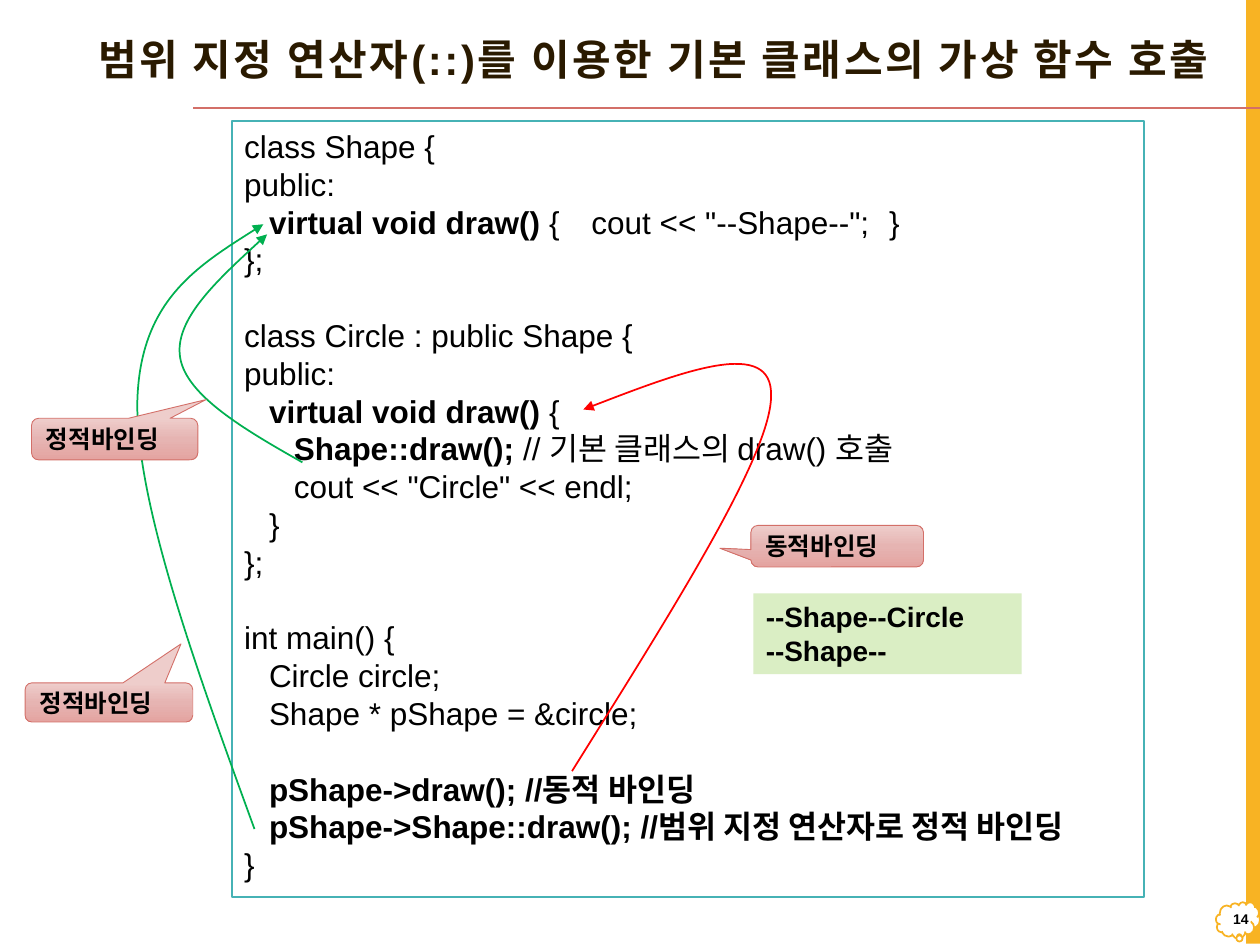
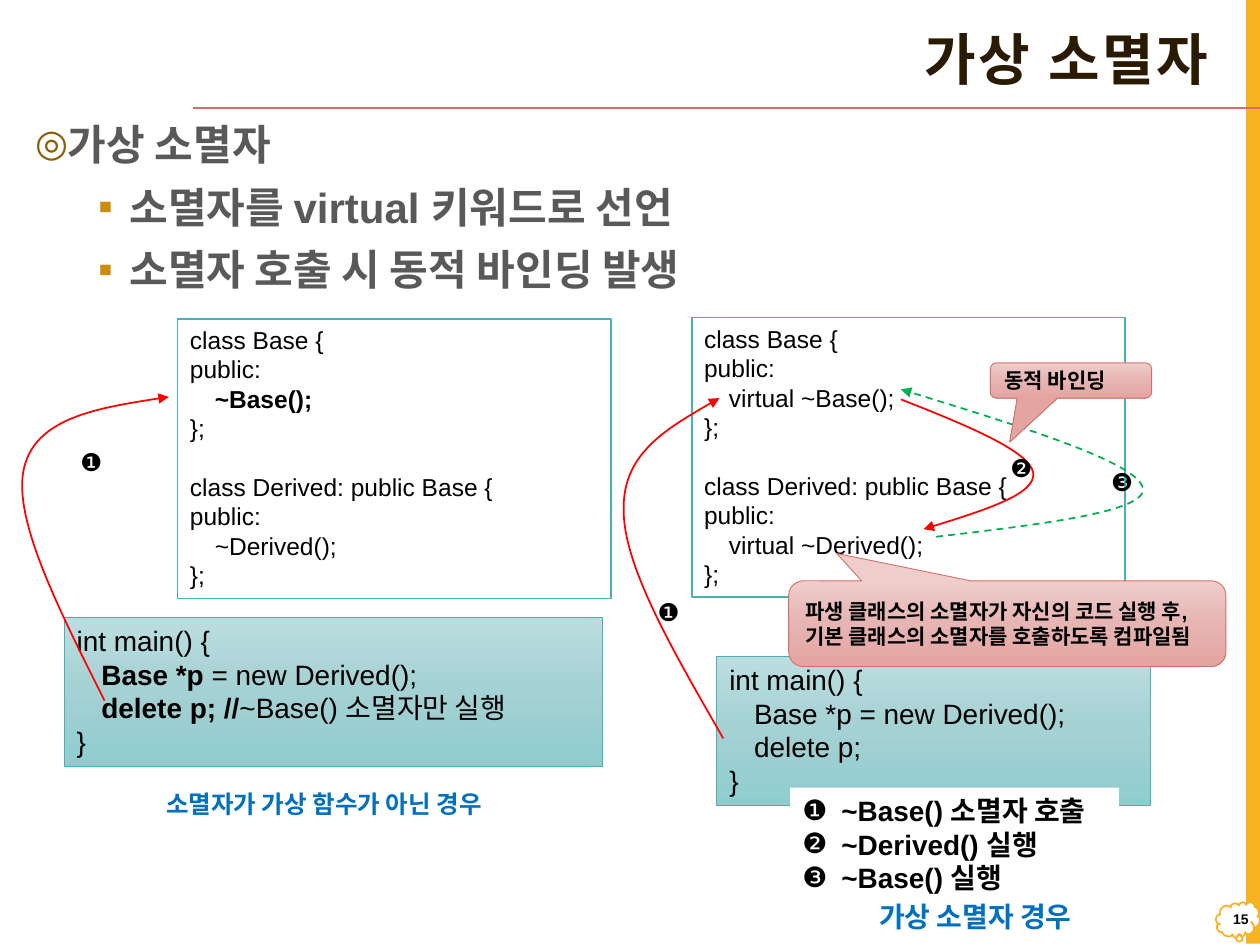
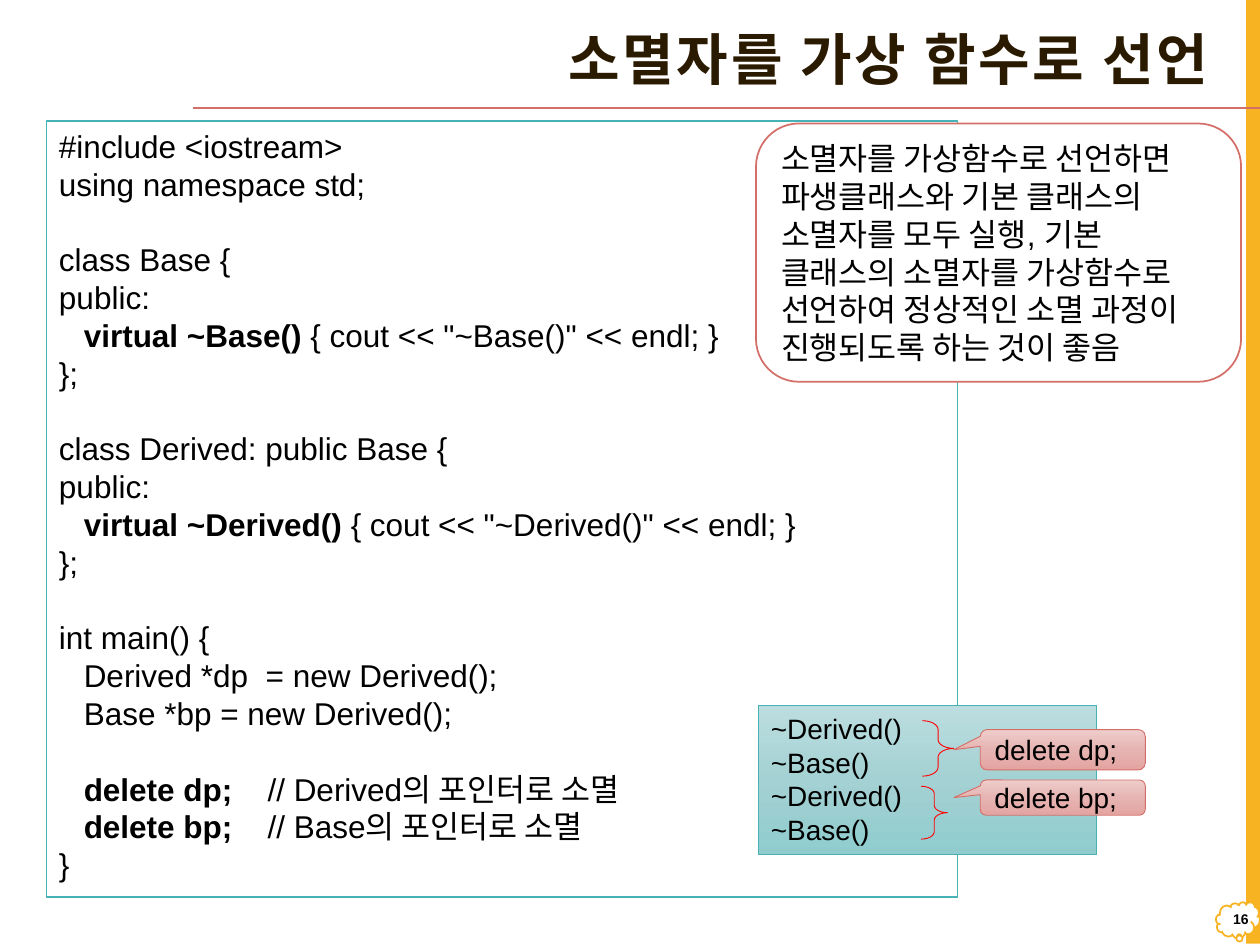
from copy import deepcopy
from dataclasses import dataclass
from typing import Any, NamedTuple

from pptx import Presentation
from pptx.dml.color import RGBColor
from pptx.enum.dml import MSO_LINE
from pptx.enum.shapes import MSO_CONNECTOR, MSO_SHAPE
from pptx.enum.text import MSO_ANCHOR, MSO_AUTO_SIZE, PP_ALIGN
from pptx.oxml.ns import qn
from pptx.oxml.xmlchemy import OxmlElement
from pptx.util import Emu, Mm, Pt

RECT, ROUND = MSO_SHAPE.RECTANGLE, MSO_SHAPE.ROUNDED_RECTANGLE
CALLOUT, CLOUD = MSO_SHAPE.ROUNDED_RECTANGULAR_CALLOUT, MSO_SHAPE.CLOUD_CALLOUT
BRACE = MSO_SHAPE.RIGHT_BRACE
TOP, MIDDLE = MSO_ANCHOR.TOP, MSO_ANCHOR.MIDDLE
LEFT, RIGHT = PP_ALIGN.LEFT, PP_ALIGN.RIGHT
GROW, FIXED = MSO_AUTO_SIZE.SHAPE_TO_FIT_TEXT, MSO_AUTO_SIZE.NONE
STRAIGHT, DASH = MSO_CONNECTOR.STRAIGHT, MSO_LINE.DASH

# Shared look: 100 px to the inch
PX = 9144
FONT = "Arial"
LINE_HEIGHT = 1.2
TAB, TAB_COUNT = Mm(5), 26
BLACK, WHITE, BROWN, GRAY = "000000", "FFFFFF", "2A1A00", "595959"
AMBER, TEAL, ROSE, BLUE = "F8B323", "46B2B5", "D36F68", "0070C0"
RED, GREEN, LIME = "FF0000", "00B050", "DAEEC4"
TEAL_FADE = ("BCDDDF", "A4D1D3", "90CCCE")
ROSE_FADE = ("EECDCB", "E6B4B2", "E4A4A1")


@dataclass(frozen=True)
class Style:
    shape: Any = None  # None makes a text box
    fill: tuple[str, ...] = ()
    line: str = ""
    line_pt: float = 1
    color: str = BLACK
    anchor: Any = TOP
    align: Any = LEFT
    fit: Any = FIXED
    wrap: bool = True
    tabs: bool = False
    spacing: float = 0  # letter spacing in points
    leading: float = 1


class Bullet(NamedTuple):
    mark: str
    margin: int
    hang: int
    color: str = ""
    percent: int = 0
    level: int = 0


class Panel(NamedTuple):
    """Shape with text; ** switches bold and an empty line leaves a gap."""
    area: tuple[int, int, int, int]
    style: Style
    text: str = ""
    size: int = 14
    bold: bool = False
    adjust: tuple[float, ...] = ()
    bullets: tuple[Bullet, ...] = ()
    before: float = 0


class Curve(NamedTuple):
    """Arrow through Bezier points: the start, then three per segment."""
    points: tuple[tuple[int, int], ...]
    color: str
    dashed: bool = False


class Page(NamedTuple):
    number: int
    title: Panel
    items: list[Panel | Curve]


TITLE = Style(color=BROWN, anchor=MIDDLE, align=RIGHT, spacing=1.5, leading=0.9)
NUMBER = Style(anchor=MIDDLE, align=RIGHT)
BAND = Style(RECT, (AMBER,))
BADGE = Style(CLOUD, (WHITE,), AMBER)
BODY = Style(color=GRAY)
CODE = Style(RECT, (WHITE,), TEAL, fit=GROW, tabs=True)
MAIN = Style(RECT, TEAL_FADE, TEAL, 0.5, fit=GROW, tabs=True)
OUTPUT = Style(RECT, (LIME,), fit=GROW)
NOTE = Style(CALLOUT, ROSE_FADE, ROSE, 0.5, anchor=MIDDLE)
ADVICE = Style(ROUND, (WHITE,), ROSE, anchor=MIDDLE)
BRACKET = Style(BRACE, line=RED, line_pt=0.5)
MARK = Style(fit=GROW, wrap=False)
CAPTION = Style(color=BLUE, fit=GROW, wrap=False)
WHITE_CAPTION = Style(RECT, (WHITE,), color=BLUE, fit=GROW, wrap=False)
STEPS = Style(RECT, (WHITE,), fit=GROW, wrap=False)


def rgb(value: str) -> RGBColor:
    return RGBColor.from_string(value)


def px(*values: int) -> list[Emu]:
    return [Emu(value * PX) for value in values]


def set_values(target: Any, values: dict[str, Any]) -> None:
    for name, value in values.items():
        setattr(target, name, value)


def add_element(parent: Any, tag: str, **attributes: Any) -> Any:
    element = OxmlElement(tag)
    for name, value in attributes.items():
        element.set(name, str(value))
    parent.append(element)
    return element


def paint(box: Any, style: Style) -> None:
    """Plain, faded or no fill, and the outline."""
    if len(style.fill) > 1:
        box.fill.gradient()
        box.fill.gradient_angle = 270
        stops = box._element.spPr.find(".//" + qn("a:gsLst"))
        stops.insert(1, deepcopy(stops[0]))
        stops[1].set("pos", "50000")
        for stop, color in zip(box.fill.gradient_stops, style.fill):
            stop.color.rgb = rgb(color)
    elif style.fill:
        box.fill.solid()
        box.fill.fore_color.rgb = rgb(style.fill[0])
    else:
        box.fill.background()
    if style.line:
        box.line.color.rgb = rgb(style.line)
        box.line.width = Pt(style.line_pt)
    else:
        box.line.fill.background()


def add_bullet(para: Any, bullet: Bullet) -> None:
    para.level = bullet.level
    properties = para._p.get_or_add_pPr()
    properties.set("marL", str(bullet.margin * PX))
    properties.set("indent", str(-bullet.hang * PX))
    if bullet.color:
        add_element(add_element(properties, "a:buClr"), "a:srgbClr", val=bullet.color)
    if bullet.percent:
        add_element(properties, "a:buSzPct", val=bullet.percent * 1000)
    add_element(properties, "a:buFont", typeface=FONT)
    add_element(properties, "a:buChar", char=bullet.mark)


def add_tabs(para: Any) -> None:
    stops = add_element(para._p.get_or_add_pPr(), "a:tabLst")
    for step in range(1, TAB_COUNT + 1):
        add_element(stops, "a:tab", pos=step * TAB, algn="l")


def write_text(box: Any, panel: Panel) -> None:
    style, frame = panel.style, box.text_frame
    set_values(frame, {"word_wrap": style.wrap, "auto_size": style.fit,
                       "vertical_anchor": style.anchor})
    gap, count = 0.0, 0
    for line in panel.text.splitlines():
        if not line:
            gap = panel.size * LINE_HEIGHT
            continue
        para = frame.add_paragraph() if count else frame.paragraphs[0]
        if panel.bullets:
            add_bullet(para, panel.bullets[count])
        if style.tabs:
            add_tabs(para)
        set_values(para, {"alignment": style.align, "line_spacing": style.leading,
                          "space_before": Pt(gap + panel.before if count else 0)})
        for index, part in enumerate(line.split("**")):
            if not part:
                continue
            span = para.add_run()
            span.text = part
            set_values(span.font, {"name": FONT, "size": Pt(panel.size),
                                   "bold": panel.bold or index % 2 == 1})
            span.font.color.rgb = rgb(style.color)
            if style.spacing:
                span._r.get_or_add_rPr().set("spc", str(int(style.spacing * 100)))
        gap, count = 0.0, count + 1


def draw_panel(page: Any, panel: Panel) -> None:
    area, style = px(*panel.area), panel.style
    if style.shape is None:
        box = page.shapes.add_textbox(*area)
    else:
        box = page.shapes.add_shape(style.shape, *area)
        box.shadow.inherit = False
        paint(box, style)
        for index, value in enumerate(panel.adjust):
            box.adjustments[index] = value
    if panel.text:
        write_text(box, panel)


def draw_curve(page: Any, curve: Curve) -> None:
    start, *rest = curve.points
    builder = page.shapes.build_freeform(*start, scale=PX)
    builder.add_line_segments(rest, close=False)
    arrow = builder.convert_to_shape()
    arrow.shadow.inherit = False
    paint(arrow, Style(line=curve.color))
    if curve.dashed:
        arrow.line.dash_style = DASH
    add_element(arrow.line._get_or_add_ln(), "a:tailEnd", type="triangle")
    # Each three straight segments become one Bezier segment
    outline = arrow._element.spPr.find(".//" + qn("a:path"))
    segments = outline.findall(qn("a:lnTo"))
    for first in range(0, len(segments), 3):
        bezier = add_element(outline, "a:cubicBezTo")
        for segment in segments[first:first + 3]:
            bezier.append(segment[0])
            outline.remove(segment)


def draw_frame(page: Any, number: int, title: Panel) -> None:
    """Band, page badge, rule, title and page number of every slide."""
    draw_panel(page, Panel((989, -1, 11, 750), BAND))
    draw_panel(page, Panel((965, 716, 35, 29), BADGE, adjust=(0.03, 0.43)))
    rule = page.shapes.add_connector(STRAIGHT, *px(1000, 86, 153, 86))
    rule.line.color.rgb = rgb(ROSE)
    rule.line.width = Pt(1)
    add_element(rule._element.spPr, "a:effectLst")
    draw_panel(page, title)
    draw_panel(page, Panel((966, 712, 35, 35), NUMBER, str(number), 8, True))


def title(text: str, left: int = 132, size: int = 32) -> Panel:
    return Panel((left, 13, 969 - left, 73), TITLE, text, size, True)


# Code listings
SCOPE_CODE = """class Shape {
public:
\t**virtual void draw() **{  \tcout << "--Shape--";  \t}
};

class Circle : public Shape {
public:
\t**virtual void draw() **{
\t\t**Shape::draw(); **// 기본 클래스의 draw() 호출
\t\tcout << "Circle" << endl;
\t}
};

int main() {
\tCircle circle;
\tShape * pShape = &circle;

\t**pShape->draw(); //동적 바인딩**
\t**pShape->Shape::draw(); //범위 지정 연산자로 정적 바인딩**
}"""

VIRTUAL_CODE = """class Base {
public:
\tvirtual ~Base();
};

class Derived: public Base {
public:
\tvirtual ~Derived();
};"""
PLAIN_CODE = VIRTUAL_CODE.replace("virtual ~Base();", "**~Base();**").replace("virtual ", "")

PLAIN_MAIN = """int main() {
\t**Base *p **= new Derived();
\t**delete p; //**~Base() 소멸자만 실행
}"""
VIRTUAL_MAIN = """int main() {
\tBase *p = new Derived();
\tdelete p;
}"""

DESTRUCTOR_CODE = """#include <iostream>
using namespace std;

class Base {
public:
\t**virtual ~Base() **{ cout << "~Base()" << endl; }
};

class Derived: public Base {
public:
\t**virtual ~Derived() **{ cout << "~Derived()" << endl; }
};

int main() {
\tDerived *dp  = new Derived();
\tBase *bp = new Derived();

\t**delete dp;    **// Derived의 포인터로 소멸
\t**delete bp;    **// Base의 포인터로 소멸
}"""

# Slide contents, from back to front
SUB_BULLET = Bullet("▪", 75, 25, "CE8D07", level=1)
SCOPE_PAGE = Page(14, title("범위 지정 연산자(::)를 이용한 기본 클래스의 가상 함수 호출", 25, 24), [
    Panel((184, 96, 724, 616), CODE, SCOPE_CODE, 18),
    Panel((598, 471, 213, 64), OUTPUT, "--Shape--Circle\n--Shape--", 16, True),
    Panel((596, 417, 137, 33), NOTE, "동적바인딩", 14, True, (-0.68, 0.05, 0.17)),
    Curve(((240, 367), (194, 341), (148, 314), (143, 284),
           (138, 254), (175, 220), (212, 186)), GREEN),
    Curve(((202, 658), (155, 529), (108, 399), (109, 319),
           (111, 239), (160, 209), (209, 178)), GREEN),
    Panel((20, 542, 133, 31), NOTE, "정적바인딩", 14, True, (0.43, -1.5, 0.17)),
    Panel((25, 332, 132, 33), NOTE, "정적바인딩", 14, True, (0.55, -0.95, 0.17)),
    Curve(((454, 612), (532, 487), (611, 363), (612, 315),
           (614, 267), (538, 296), (463, 325)), RED),
])

VIRTUAL_PAGE = Page(15, title("가상 소멸자"), [
    Panel((18, 89, 953, 638), BODY,
          "가상 소멸자\n소멸자를 virtual 키워드로 선언\n소멸자 호출 시 동적 바인딩 발생", 24, True,
          bullets=(Bullet("◎", 25, 25, "895E04", 90), SUB_BULLET, SUB_BULLET), before=7),
    Panel((549, 252, 344, 222), CODE, VIRTUAL_CODE),
    Panel((141, 253, 344, 222), CODE, PLAIN_CODE),
    Panel((51, 490, 427, 118), MAIN, PLAIN_MAIN, 16),
    Curve(((743, 426), (828, 416), (912, 406), (907, 387),
           (902, 367), (809, 338), (715, 309)), GREEN, True),
    Panel((569, 521, 344, 118), MAIN, VIRTUAL_MAIN, 16),
    Curve(((83, 556), (47, 484), (10, 412), (19, 372),
           (28, 332), (81, 323), (134, 315)), RED),
    Curve(((574, 586), (535, 518), (495, 450), (495, 405),
           (494, 360), (533, 338), (571, 316)), RED),
    Curve(((715, 317), (766, 337), (817, 358), (820, 375),
           (823, 392), (778, 406), (733, 420)), RED),
    Panel((786, 288, 128, 28), NOTE, "동적 바인딩", 12, True, (-0.38, 1.75, 0.17)),
    *(Panel((left, top, 38, 34), MARK, mark) for left, top, mark in (
        (54, 350, "❶"), (512, 469, "❶"), (792, 355, "❷"), (872, 366, "❸"))),
    Panel((626, 461, 347, 68), NOTE,
          "파생 클래스의 소멸자가 자신의 코드 실행 후, 기본 클래스의 소멸자를 호출하도록 컴파일됨",
          12, True, (-0.39, -0.82, 0.17)),
    Panel((122, 621, 303, 34), CAPTION, "소멸자가 가상 함수가 아닌 경우", 14, True),
    Panel((688, 709, 193, 37), WHITE_CAPTION, "가상 소멸자 경우", 16, True),
    Panel((627, 625, 261, 91), STEPS, "~Base() 소멸자 호출\n~Derived() 실행\n~Base() 실행", 16, True,
          bullets=tuple(Bullet(mark, 31, 31) for mark in "❶❷❸")),
])

DESTRUCTOR_PAGE = Page(16, title("소멸자를 가상 함수로 선언"), [
    Panel((37, 96, 723, 616), CODE, DESTRUCTOR_CODE, 18),
    Panel((602, 560, 268, 118), MAIN, "~Derived()\n~Base()\n~Derived()\n~Base()", 16),
    Panel((778, 579, 131, 32), NOTE, "delete dp;", 16, adjust=(-0.66, 0, 0.17)),
    Panel((778, 619, 131, 28), NOTE, "delete bp;", 16, adjust=(-0.66, 0, 0.17)),
    Panel((732, 572, 25, 44), BRACKET, adjust=(0.28, 0.5)),
    Panel((731, 624, 21, 42), BRACKET, adjust=(0.28, 0.5)),
    Panel((600, 98, 385, 205), ADVICE,
          "소멸자를 가상함수로 선언하면 파생클래스와 기본 클래스의 소멸자를 모두 실행, "
          "기본 클래스의 소멸자를 가상함수로 선언하여 정상적인 소멸 과정이 진행되도록 하는 것이 좋음", 18),
])


def main() -> None:
    deck = Presentation()
    deck.slide_width, deck.slide_height = px(1000, 750)
    for content in (SCOPE_PAGE, VIRTUAL_PAGE, DESTRUCTOR_PAGE):
        page = deck.slides.add_slide(deck.slide_layouts[6])
        draw_frame(page, content.number, content.title)
        for item in content.items:
            if isinstance(item, Curve):
                draw_curve(page, item)
            else:
                draw_panel(page, item)
    deck.save("out.pptx")


if __name__ == "__main__":
    main()
